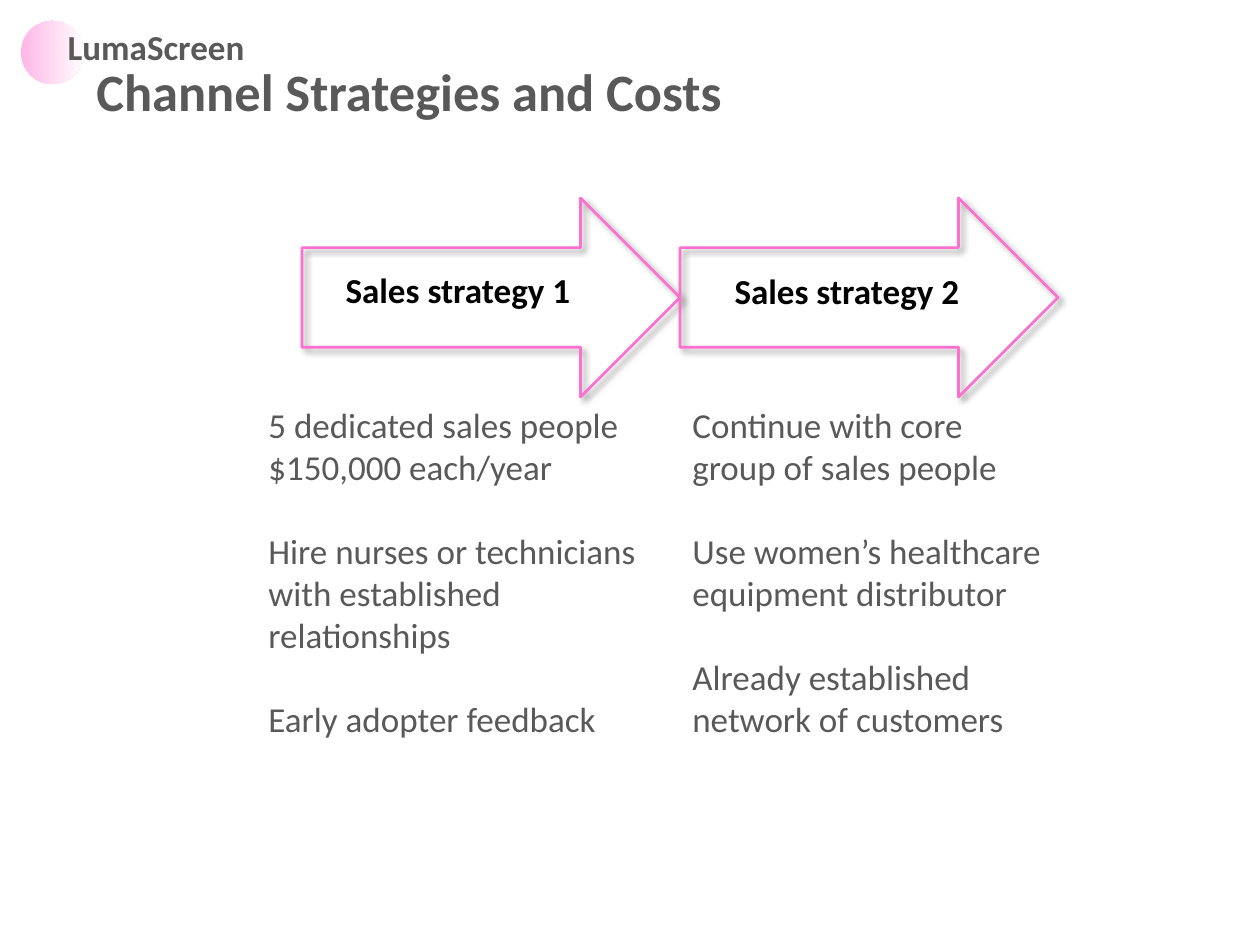
from lxml.etree import SubElement
from pptx import Presentation
from pptx.dml.color import RGBColor
from pptx.enum.shapes import MSO_SHAPE as Preset
from pptx.enum.text import MSO_AUTO_SIZE as AutoSize, PP_ALIGN as Align
from pptx.oxml.ns import qn
from pptx.util import Emu, Pt

EMU_PER_PX = 914400 / 126
FONT = "Calibri"
PINK = RGBColor(0xFF, 0x6F, 0xCF)
WHITE = RGBColor(0xFF, 0xFF, 0xFF)
GREY = RGBColor(0x59, 0x59, 0x59)
BLACK = RGBColor(0, 0, 0)

STRATEGY_1 = [
    ["5 dedicated sales people", "$150,000 each/year"],
    ["Hire nurses or technicians", "with established", "relationships"],
    ["Early adopter feedback"],
]
STRATEGY_2 = [
    ["Continue with core group of sales people"],
    ["Use women’s healthcare equipment distributor"],
    ["Already established network of customers"],
]


def px(*lengths):
    """Turn pixel lengths into EMU."""
    return [Emu(round(length * EMU_PER_PX)) for length in lengths]


def add_text(slide, box, groups, size=20, color=GREY, bold=False,
             align=Align.LEFT, wrap=False):
    """Add a text box whose groups of lines are one blank line apart."""
    frame = slide.shapes.add_textbox(*px(*box)).text_frame
    frame.word_wrap = wrap
    frame.auto_size = AutoSize.SHAPE_TO_FIT_TEXT
    paragraph = None
    for group in groups:
        for position, line in enumerate(group):
            first = paragraph is None
            paragraph = frame.paragraphs[0] if first else frame.add_paragraph()
            paragraph.alignment = align
            if position == 0 and not first:
                paragraph.space_before = Pt(size * 1.2)
            run = paragraph.add_run()
            run.text = line
            font = run.font
            font.name, font.size, font.bold = FONT, Pt(size), bold
            font.color.rgb = color


def add_brand_dot(slide, box):
    """Add the half-transparent circle that fades from pink to white."""
    dot = slide.shapes.add_shape(Preset.OVAL, *px(*box))
    dot.shadow.inherit = False
    dot.line.fill.background()
    dot.fill.gradient()
    dot.fill.gradient_angle = 0
    for stop, color in zip(dot.fill.gradient_stops, (PINK, WHITE)):
        stop.color.rgb = color
    for color in dot._element.spPr.iter(qn("a:srgbClr")):
        SubElement(color, qn("a:alpha"), val="50000")


def add_arrow(slide, box):
    """Add an outlined block arrow with a soft shadow."""
    arrow = slide.shapes.add_shape(Preset.RIGHT_ARROW, *px(*box))
    arrow.fill.background()
    arrow.line.color.rgb = PINK
    arrow.line.width = Pt(1.5)
    arrow.shadow.inherit = False
    effects = arrow._element.spPr.find(qn("a:effectLst"))
    shadow = SubElement(effects, qn("a:outerShdw"), blurRad=str(Pt(4)),
                        dist=str(Pt(3)), dir="2700000", rotWithShape="0")
    color = SubElement(shadow, qn("a:srgbClr"), val=str(BLACK))
    SubElement(color, qn("a:alpha"), val="43000")


def main():
    """Build the slide and save it."""
    deck = Presentation()
    deck.slide_width, deck.slide_height = px(1260, 945)
    slide = deck.slides.add_slide(deck.slide_layouts[6])

    add_brand_dot(slide, (21, 21, 63, 63))
    add_text(slide, (84, 53, 708, 77), [["Channel Strategies and Costs"]],
             size=30, bold=True)
    add_text(slide, (21, 19, 236, 55), [["LumaScreen"]], bold=True,
             align=Align.RIGHT)
    add_text(slide, (256, 397, 403, 352), STRATEGY_1)
    add_text(slide, (680, 397, 377, 437), STRATEGY_2, wrap=True)

    for number, left, top in ((1, 256, 262), (2, 645, 263)):
        add_text(slide, (left, top, 404, 55), [[f"Sales strategy {number}"]],
                 color=BLACK, bold=True, align=Align.CENTER, wrap=True)
    for step in range(2):
        add_arrow(slide, (302 + 378 * step, 198, 378, 199))

    deck.save("out.pptx")


if __name__ == "__main__":
    main()
